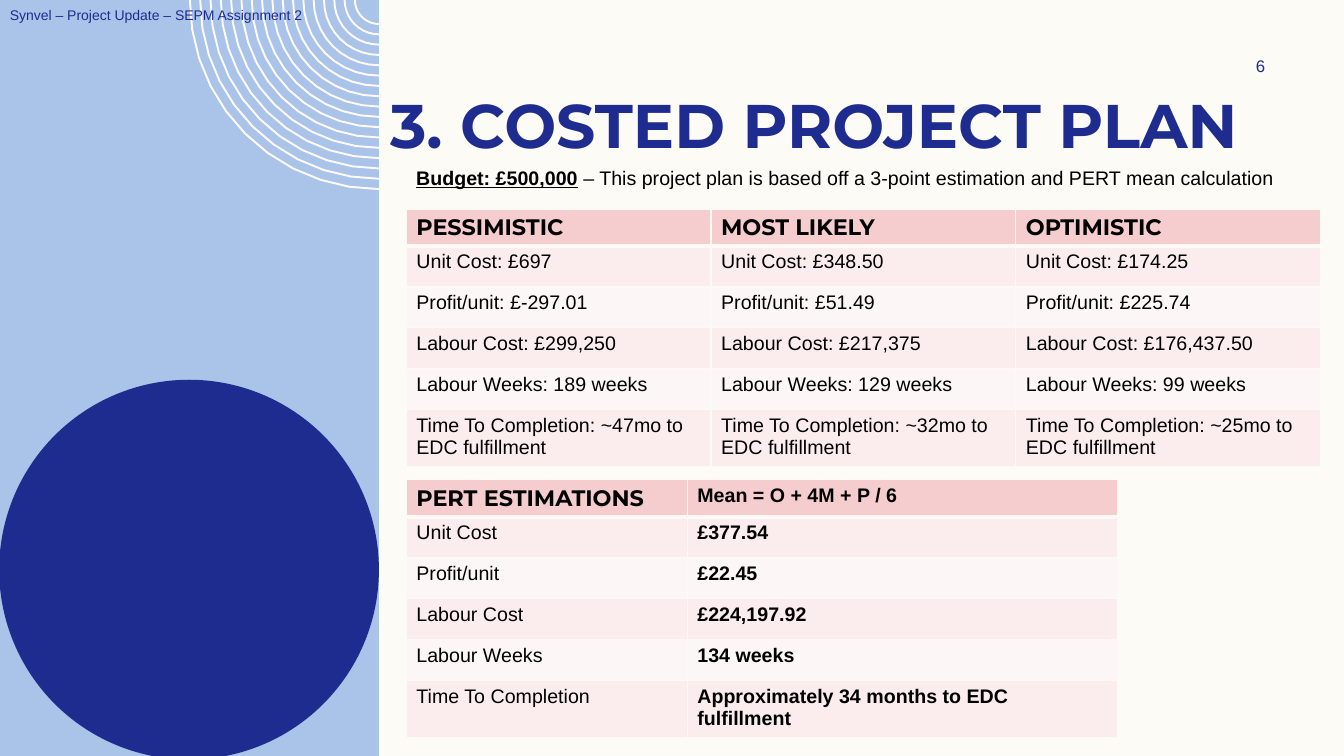
from math import cos, pi, sin

from lxml import etree
from pptx import Presentation
from pptx.dml.color import RGBColor
from pptx.enum.shapes import MSO_SHAPE
from pptx.enum.text import MSO_ANCHOR, PP_ALIGN
from pptx.oxml.ns import qn
from pptx.util import Cm, Pt

RECT, OVAL = MSO_SHAPE.RECTANGLE, MSO_SHAPE.OVAL
TOP, MIDDLE = MSO_ANCHOR.TOP, MSO_ANCHOR.MIDDLE
LEFT, CENTER = PP_ALIGN.LEFT, PP_ALIGN.CENTER
NAVY, SKY, CREAM, BLACK = "1F2C8F", "AAC3E8", "FDFAF6", "000000"
PAPER, ROSE, BANDS = "FDFBF6", "F5CDCE", ("FBEDED", "FDF6F6")
HEAVY, PLAIN = "Montserrat", "Arial"
PLAN_HEADS = [(name, HEAVY, 16) for name in ("PESSIMISTIC", "MOST LIKELY", "OPTIMISTIC")]
PLAN_ROWS = [
    ("Unit Cost: £697", "Unit Cost: £348.50", "Unit Cost: £174.25"),
    ("Profit/unit: £-297.01", "Profit/unit: £51.49", "Profit/unit: £225.74"),
    ("Labour Cost: £299,250", "Labour Cost: £217,375", "Labour Cost: £176,437.50"),
    ("Labour Weeks: 189 weeks", "Labour Weeks: 129 weeks", "Labour Weeks: 99 weeks"),
    [f"Time To Completion: ~{months}mo to EDC fulfillment" for months in (47, 32, 25)],
]
PERT_HEADS = [("PERT ESTIMATIONS", HEAVY, 16), ("Mean = O + 4M + P / 6", PLAIN, 14)]
PERT_ROWS = [
    ("Unit Cost", "£377.54"),
    ("Profit/unit", "£22.45"),
    ("Labour Cost", "£224,197.92"),
    ("Labour Weeks", "134 weeks"),
    ("Time To Completion", "Approximately 34 months to EDC fulfillment"),
]


def color(code):
    return RGBColor.from_string(code)


def paint(shape, code):
    shape.shadow.inherit = False
    shape.fill.solid()
    shape.fill.fore_color.rgb = color(code)
    shape.line.fill.background()


def style(run, font, size, code, bold=False):
    run.font.name = font
    run.font.size = Pt(size)
    run.font.color.rgb = color(code)
    run.font.bold = bold


def label(slide, box, text, font, size, code, bold=False, anchor=TOP, align=LEFT):
    frame = slide.shapes.add_textbox(*map(Cm, box)).text_frame
    frame.word_wrap = True
    frame.vertical_anchor = anchor
    para = frame.paragraphs[0]
    para.text = text
    para.alignment = align
    style(para.runs[0], font, size, code, bold)
    return para


def rings(slide, x, y, size, count=17, step=0.26, parts=10):
    turns = [pi / 2 * (1 + i / parts) for i in range(parts + 1)]
    build = None
    for i in range(count):
        r = size - 0.02 - i * step
        spots = [(Cm(x + r * cos(a)), Cm(y + r * sin(a))) for a in turns]
        if build is None:
            build = slide.shapes.build_freeform(*spots[0])
        else:
            build.move_to(*spots[0])
        build.add_line_segments(spots[1:], close=False)
    arcs = build.convert_to_shape()
    arcs.shadow.inherit = False
    arcs.fill.background()
    arcs.line.color.rgb = color(CREAM)
    arcs.line.width = Pt(1.4)


def panel(slide, box):
    x, y, w, h = box
    paint(slide.shapes.add_shape(RECT, *map(Cm, box)), SKY)
    rings(slide, x + w, y, w / 2)
    disc = slide.shapes.add_shape(OVAL, Cm(x), Cm(y + w), Cm(w), Cm(w))
    paint(disc, NAVY)


def heading(slide, box):
    x, y, w, h = box
    label(slide, box, "3. COSTED PROJECT PLAN", HEAVY, 44, NAVY, True)
    para = label(slide, (x + 0.66, y + 2, w, 0.86), "Budget: £500,000", PLAIN, 14, BLACK, True)
    para.runs[0].font.underline = True
    rest = para.add_run()
    rest.text = " – This project plan is based off a 3-point estimation and PERT mean calculation"
    style(rest, PLAIN, 14, BLACK)


def edge(cell, side, width):
    line = etree.SubElement(cell._tc.get_or_add_tcPr(), qn(f"a:ln{side}"), w=str(Pt(width)))
    fill = etree.SubElement(line, qn("a:solidFill"))
    etree.SubElement(fill, qn("a:srgbClr"), val=CREAM)


def grid(slide, x, y, widths, top, heads, rows, strong=()):
    height = 1.03
    frame = slide.shapes.add_table(len(rows) + 1, len(widths), Cm(x), Cm(y),
                                   Cm(sum(widths)), Cm(top + height * len(rows)))
    table = frame.table
    for col, width in zip(table.columns, widths):
        col.width = Cm(width)
    for i, row in enumerate(table.rows):
        row.height = Cm(height if i else top)
    body = [[(text, PLAIN, 14) for text in row] for row in rows]
    for i, line in enumerate([heads] + body):
        for j, (text, font, size) in enumerate(line):
            cell = table.cell(i, j)
            for side, width in (("L", 1), ("R", 1), ("T", 3 if i == 1 else 1),
                                ("B", 1 if i else 3)):
                edge(cell, side, width)
            cell.fill.solid()
            cell.fill.fore_color.rgb = color(BANDS[(i - 1) % 2] if i else ROSE)
            cell.text_frame.text = text
            run = cell.text_frame.paragraphs[0].runs[0]
            style(run, font, size, BLACK, i == 0 or j in strong)


def main():
    deck = Presentation()
    deck.slide_width, deck.slide_height = Cm(33.87), Cm(19.05)
    slide = deck.slides.add_slide(deck.slide_layouts[6])
    slide.background.fill.solid()
    slide.background.fill.fore_color.rgb = color(PAPER)
    panel(slide, (-0.02, 0, 9.57, 19.13))
    label(slide, (0, 0, 12.47, 0.76), "Synvel – Project Update – SEPM Assignment 2",
          PLAIN, 10, NAVY, anchor=MIDDLE)
    label(slide, (30.4, 1.27, 2.74, 0.76), "6", PLAIN, 12, NAVY, anchor=MIDDLE, align=CENTER)
    heading(slide, (9.58, 2.06, 25.45, 2.13))
    grid(slide, 10.24, 5.27, [7.68] * 3, 0.76, PLAN_HEADS, PLAN_ROWS)
    grid(slide, 10.24, 12.09, [7.08, 10.84], 0.46, PERT_HEADS, PERT_ROWS, strong=(1,))
    deck.save("out.pptx")


if __name__ == "__main__":
    main()
